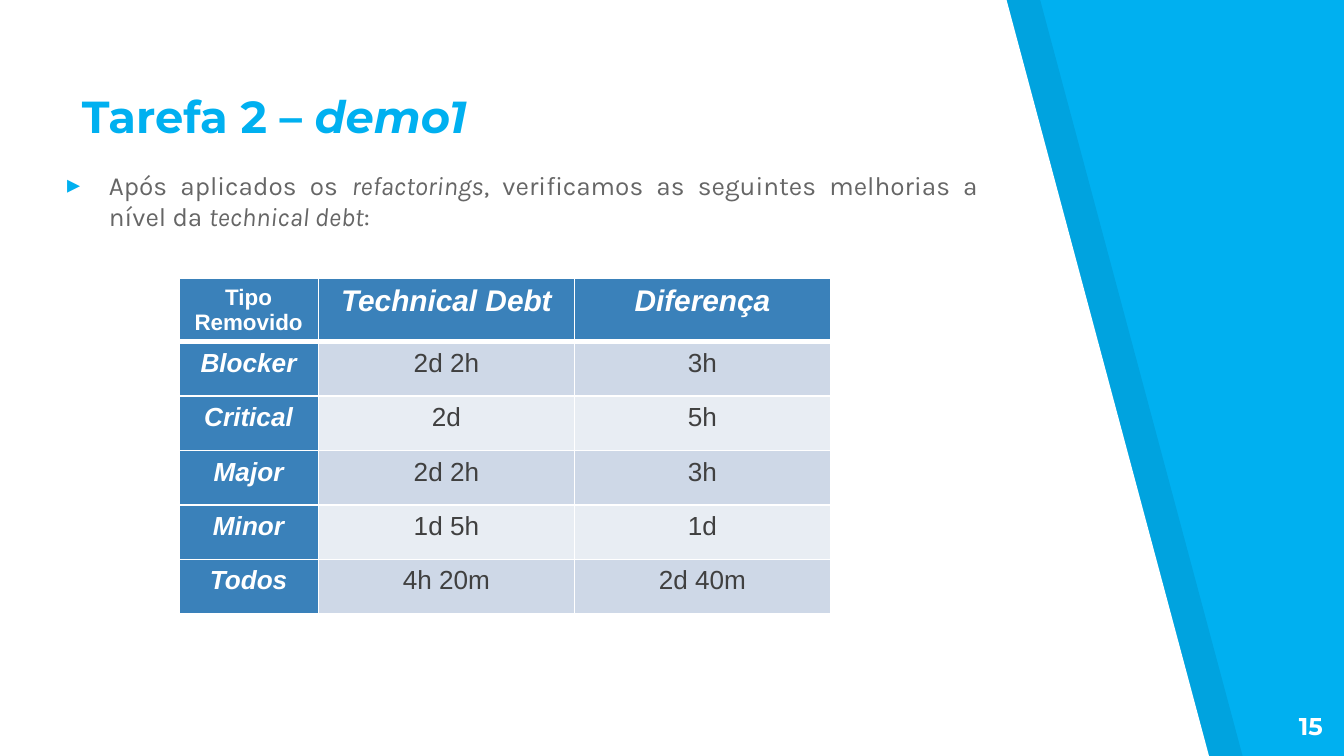
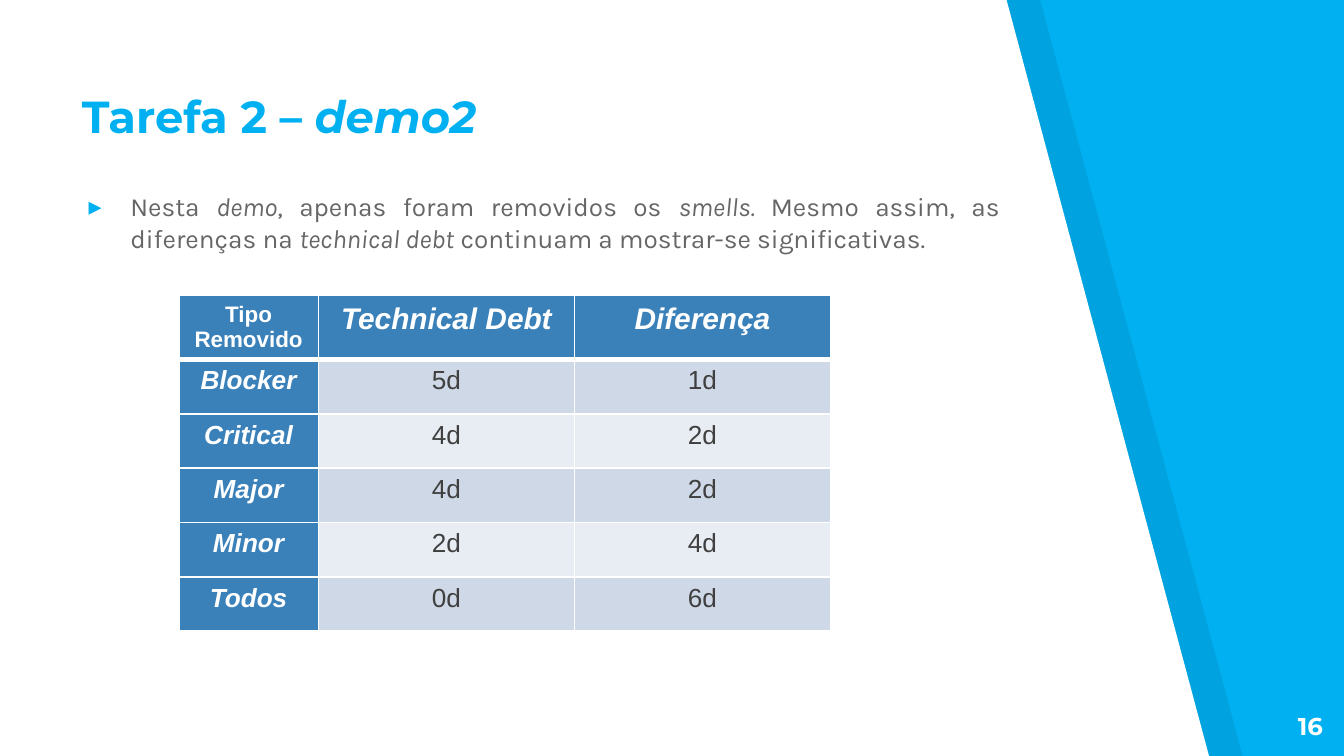
"""Build two slides on technical debt after refactoring, each with a table."""
from lxml import etree
from pptx import Presentation
from pptx.dml.color import RGBColor
from pptx.enum.text import MSO_ANCHOR, MSO_AUTO_SIZE, PP_ALIGN
from pptx.oxml.ns import qn
from pptx.util import Inches, Pt

LEFT, RIGHT = PP_ALIGN.LEFT, PP_ALIGN.RIGHT
CENTER, JUSTIFY = PP_ALIGN.CENTER, PP_ALIGN.JUSTIFY
TOP, BOTTOM = MSO_ANCHOR.TOP, MSO_ANCHOR.BOTTOM
NO_AUTOFIT = MSO_AUTO_SIZE.NONE

BLUE, WHITE, BLACK = "00B0F0", "FFFFFF", "000000"
BODY_GRAY, CELL_GRAY = "666666", "404040"
HEAD_FILL, ROW_FILLS = "3A81BA", ("CED8E7", "E8EDF3")
TITLE_FONT, BODY_FONT, TABLE_FONT = "Montserrat", "Karla", "Arial"

SLIDE_WIDTH = 10
SLIDE_HEIGHT = SLIDE_WIDTH * 9 / 16

HEADERS = ("Tipo Removido", "Technical Debt", "Diferença")
KINDS = ("Blocker", "Critical", "Major", "Minor", "Todos")
TABLE_WIDTH, KIND_WIDTH = 4.85, 1.04
VALUE_WIDTH = (TABLE_WIDTH - KIND_WIDTH) / 2
COL_WIDTHS = (KIND_WIDTH, VALUE_WIDTH, VALUE_WIDTH)
ROW_HEIGHT = 2.43 / 6

SLIDES = (
    {
        "number": 15,
        "demo": "demo1",
        "body_box": (0.4, 1.16, 6.98, 4.18),
        "body": (
            ("Após aplicados os ", False),
            ("refactorings", True),
            (", verificamos as seguintes melhorias a nível da ", False),
            ("technical debt", True),
            (":", False),
        ),
        "table_top": 2.07,
        "debts": ("2d 2h", "2d", "2d 2h", "1d 5h", "4h 20m"),
        "differences": ("3h", "5h", "3h", "1d", "2d 40m"),
    },
    {
        "number": 16,
        "demo": "demo2",
        "body_box": (0.56, 1.32, 6.98, 0.88),
        "body": (
            ("Nesta ", False),
            ("demo", True),
            (", apenas foram removidos os ", False),
            ("smells. ", True),
            ("Mesmo assim, as diferenças na ", False),
            ("technical debt", True),
            (" continuam a mostrar-se significativas.", False),
        ),
        "table_top": 2.2,
        "debts": ("5d", "4d", "4d", "2d", "0d"),
        "differences": ("1d", "2d", "2d", "4d", "6d"),
    },
)


def rgb(color):
    """Turn a hex string into a colour."""
    return RGBColor.from_string(color)


def paint(fill, color):
    """Make a fill solid in one colour."""
    fill.solid()
    fill.fore_color.rgb = rgb(color)


def add_run(p, text, font, size, color, bold=False, italic=False):
    """Add one formatted run to a paragraph."""
    r = p.add_run()
    r.text = text
    r.font.name = font
    r.font.size = Pt(size)
    r.font.color.rgb = rgb(color)
    r.font.bold = bold
    r.font.italic = italic


def set_frame(sp, box, align, anchor=TOP):
    """Place a text shape and return its first paragraph."""
    sp.left, sp.top, sp.width, sp.height = map(Inches, box)
    tf = sp.text_frame
    tf.word_wrap = True
    tf.auto_size = NO_AUTOFIT
    tf.vertical_anchor = anchor
    tf.margin_left = tf.margin_right = Inches(0.1)
    tf.margin_top = tf.margin_bottom = Inches(0.1)
    p = tf.paragraphs[0]
    p.alignment = align
    return p


def add_panel(s, left, color, alpha=100):
    """Draw a slanted panel behind the content."""
    points = [(left, 5.64), (left + 9, 5.64), (left + 7.49, 0)]
    builder = s.shapes.build_freeform(Inches(left), Inches(-0.01))
    builder.add_line_segments([(Inches(x), Inches(y)) for x, y in points])
    sp = builder.convert_to_shape()
    paint(sp.fill, color)
    sp.line.fill.background()
    sp.shadow.inherit = False
    if alpha < 100:
        clr = sp.element.spPr.find(".//" + qn("a:srgbClr"))
        etree.SubElement(clr, qn("a:alpha"), val=str(alpha * 1000))
    return sp


def add_backdrop(s):
    """Set the blue background and its two panels."""
    paint(s.background.fill, BLUE)
    panels = (add_panel(s, 0.25, BLACK, 7), add_panel(s, 0, WHITE))
    for i, sp in enumerate(panels):
        s.shapes.element.insert(2 + i, sp.element)


def add_title(s, demo):
    """Fill the title, with the demo name in italics."""
    p = set_frame(s.shapes.title, (0.51, 0.71, 5.43, 0.45), LEFT, BOTTOM)
    add_run(p, "Tarefa 2 – ", TITLE_FONT, 24, BLUE, bold=True)
    add_run(p, demo, TITLE_FONT, 24, BLUE, bold=True, italic=True)


def add_number(s, number):
    """Add the slide number at the bottom right."""
    box = (9.34, 5.19, 0.6, 0.43)
    sp = s.shapes.add_textbox(*map(Inches, box))
    p = set_frame(sp, box, RIGHT)
    add_run(p, str(number), TITLE_FONT, 13, WHITE, bold=True)


def add_body(s, box, runs):
    """Fill the body with one justified bullet."""
    p = set_frame(s.placeholders[1], box, JUSTIFY)
    p.space_before = Pt(6)
    pPr = p._p.get_or_add_pPr()
    pPr.set("marL", str(Inches(0.31)))
    pPr.set("indent", str(Inches(-0.31)))
    clr = etree.SubElement(pPr, qn("a:buClr"))
    etree.SubElement(clr, qn("a:srgbClr"), val=BLUE)
    etree.SubElement(pPr, qn("a:buFont"), typeface=BODY_FONT)
    etree.SubElement(pPr, qn("a:buChar"), char="▸")
    for text, italic in runs:
        add_run(p, text, BODY_FONT, 14, BODY_GRAY, italic=italic)


def set_borders(cell, top, bottom):
    """Give a cell white borders, widths in points."""
    tcPr = cell._tc.get_or_add_tcPr()
    for side, width in (("L", 1), ("R", 1), ("T", top), ("B", bottom)):
        ln = etree.SubElement(tcPr, qn("a:ln" + side), w=str(Pt(width)))
        fill = etree.SubElement(ln, qn("a:solidFill"))
        etree.SubElement(fill, qn("a:srgbClr"), val=WHITE)


def add_debt_table(s, top, debts, differences):
    """Add the table of debt left and difference by kind."""
    rows = [HEADERS, *zip(KINDS, debts, differences)]
    frame = s.shapes.add_table(
        len(rows), len(HEADERS), Inches(1.33), Inches(top),
        Inches(TABLE_WIDTH), Inches(ROW_HEIGHT * len(rows)))
    table = frame.table
    for col, width in zip(table.columns, COL_WIDTHS):
        col.width = Inches(width)
    for i, row in enumerate(rows):
        table.rows[i].height = Inches(ROW_HEIGHT)
        for j, text in enumerate(row):
            cell = table.cell(i, j)
            head = i == 0 or j == 0
            corner = i == 0 and j == 0
            size = 12 if corner else 16 if i == 0 else 14
            set_borders(cell, 3 if i == 1 else 1, 3 if i == 0 else 1)
            paint(cell.fill, HEAD_FILL if head else ROW_FILLS[(i - 1) % 2])
            p = cell.text_frame.paragraphs[0]
            p.alignment = CENTER
            add_run(p, text, TABLE_FONT, size, WHITE if head else CELL_GRAY,
                    bold=head, italic=head and not corner)


def main():
    """Build and save the slides."""
    prs = Presentation()
    prs.slide_width = Inches(SLIDE_WIDTH)
    prs.slide_height = Inches(SLIDE_HEIGHT)
    for data in SLIDES:
        s = prs.slides.add_slide(prs.slide_layouts[1])
        add_backdrop(s)
        add_title(s, data["demo"])
        add_number(s, data["number"])
        add_body(s, data["body_box"], data["body"])
        add_debt_table(s, data["table_top"], data["debts"], data["differences"])
    prs.save("out.pptx")


if __name__ == "__main__":
    main()
